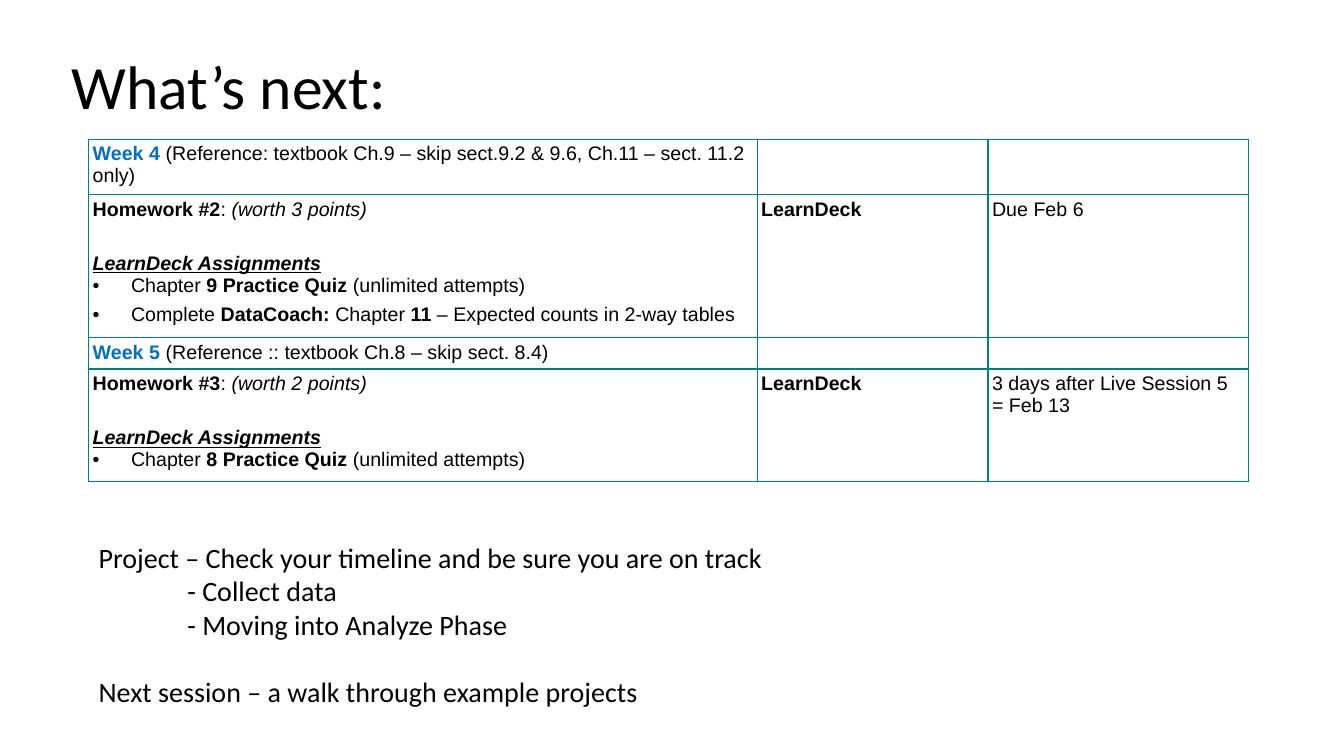
from lxml import etree
from pptx import Presentation
from pptx.dml.color import RGBColor
from pptx.enum.text import MSO_ANCHOR
from pptx.oxml.ns import qn
from pptx.util import Inches, Pt

THEME = {
    "heading_font": "Calibri", "table_font": "Arial",
    "title_size": 44, "body_size": 20, "table_size": 14,
    "text": "000000", "week": "0070C0", "border": "008080",
}

TITLE = "What’s next:"

STYLES = {
    "plain": {},
    "week": {"bold": True, "color": THEME["week"]},
    "bold": {"bold": True},
    "italic": {"italic": True},
    "heading": {"bold": True, "italic": True, "underline": True},
}


def homework(number, points, tasks):
    return [
        ("line", [(f"Homework #{number}", "bold"), (": ", "plain"),
                  (f"(worth {points} points)", "italic")]),
        ("section", [("LearnDeck Assignments", "heading")]),
        *[("bullet", task) for task in tasks],
    ]


def quiz(chapter):
    return [("Chapter ", "plain"), (f"{chapter} Practice Quiz", "bold"),
            (" (unlimited attempts)", "plain")]


def week(number, reference):
    return [("line", [(f"Week {number} ", "week"), (reference, "plain")])]


TUTOR_TASK = [("Complete ", "plain"), ("DataCoach:", "bold"), (" Chapter ", "plain"),
              ("11", "bold"), (" – Expected counts in 2-way tables", "plain")]
PLATFORM = [("line", [("LearnDeck", "bold")])]

SCHEDULE = [
    [week(4, "(Reference: textbook Ch.9 – skip sect.9.2 & 9.6, Ch.11 – sect. 11.2 only)"), [], []],
    [homework(2, 3, [quiz(9), TUTOR_TASK]), PLATFORM, [("line", [("Due Feb 6", "plain")])]],
    [week(5, "(Reference :: textbook Ch.8 – skip sect. 8.4)"), [], []],
    [homework(3, 2, [quiz(8)]), PLATFORM,
     [("line", [("3 days after Live Session 5 = Feb 13", "plain")])]],
]
COLUMN_WIDTHS = [6.63, 2.29, 2.58]
ROW_HEIGHTS = [0.54, 1.42, 0.3, 1.12]

REMINDERS = [
    ("Project – Check your timeline and be sure you are on track", 0, 0),
    ("- Collect data", 0.88, 0),
    ("- Moving into Analyze Phase", 0.88, 0),
    ("Next session – a walk through example projects", 0, 24),
]


def add_run(paragraph, text, font, size, bold=False, italic=False, underline=False,
            color=THEME["text"]):
    run = paragraph.add_run()
    run.text = text
    run.font.name = font
    run.font.size = Pt(size)
    run.font.bold = bold
    run.font.italic = italic
    run.font.underline = underline
    run.font.color.rgb = RGBColor.from_string(color)


def next_paragraph(frame, index):
    return frame.add_paragraph() if index else frame.paragraphs[0]


def add_text_frame(slide, left, top, width, height):
    frame = slide.shapes.add_textbox(
        Inches(left), Inches(top), Inches(width), Inches(height)).text_frame
    frame.word_wrap = True
    return frame


def add_bullet(paragraph):
    properties = paragraph._p.get_or_add_pPr()
    properties.set("marL", str(Inches(0.38)))
    properties.set("indent", str(-Inches(0.38)))
    paragraph.space_after = Pt(5)
    etree.SubElement(properties, qn("a:buFont"), typeface="Arial")
    etree.SubElement(properties, qn("a:buChar"), char="•")


def add_borders(cell):
    properties = cell._tc.get_or_add_tcPr()
    for position, side in enumerate(("lnL", "lnR", "lnT", "lnB")):
        line = etree.Element(qn(f"a:{side}"), w=str(Pt(1)))
        fill = etree.SubElement(line, qn("a:solidFill"))
        etree.SubElement(fill, qn("a:srgbClr"), val=THEME["border"])
        properties.insert(position, line)


def fill_cell(cell, entries):
    cell.margin_left = cell.margin_right = Inches(0.04)
    cell.margin_top = cell.margin_bottom = Inches(0.04)
    cell.fill.background()
    add_borders(cell)
    for index, (kind, runs) in enumerate(entries):
        paragraph = next_paragraph(cell.text_frame, index)
        if kind == "section":
            paragraph.space_before = Pt(23)
        elif kind == "bullet":
            add_bullet(paragraph)
        for text, style in runs:
            add_run(paragraph, text, THEME["table_font"], THEME["table_size"], **STYLES[style])
    if not entries:
        etree.SubElement(cell.text_frame.paragraphs[0]._p, qn("a:endParaRPr"),
                         sz=str(THEME["table_size"] * 100))


def add_title(slide):
    frame = add_text_frame(slide, 0.61, 0.16, 11.5, 1.45)
    frame.vertical_anchor = MSO_ANCHOR.MIDDLE
    frame.paragraphs[0].line_spacing = 0.9
    add_run(frame.paragraphs[0], TITLE, THEME["heading_font"], THEME["title_size"])


def add_schedule(slide):
    schedule = slide.shapes.add_table(
        len(ROW_HEIGHTS), len(COLUMN_WIDTHS), Inches(0.88), Inches(1.38),
        Inches(sum(COLUMN_WIDTHS)), Inches(sum(ROW_HEIGHTS))).table
    schedule.first_row = schedule.horz_banding = False
    for column, width in zip(schedule.columns, COLUMN_WIDTHS):
        column.width = Inches(width)
    for row, height, contents in zip(schedule.rows, ROW_HEIGHTS, SCHEDULE):
        row.height = Inches(height)
        for cell, entries in zip(row.cells, contents):
            fill_cell(cell, entries)


def add_reminders(slide):
    frame = add_text_frame(slide, 0.88, 5.31, 7.89, 1.78)
    for index, (text, indent, gap) in enumerate(REMINDERS):
        paragraph = next_paragraph(frame, index)
        paragraph._p.get_or_add_pPr().set("marL", str(Inches(indent)))
        paragraph.space_before = Pt(gap)
        add_run(paragraph, text, THEME["heading_font"], THEME["body_size"])


def main():
    presentation = Presentation()
    presentation.slide_width = Inches(13.33)
    presentation.slide_height = Inches(7.5)
    slide = presentation.slides.add_slide(presentation.slide_layouts[6])
    add_title(slide)
    add_reminders(slide)
    add_schedule(slide)
    presentation.save("out.pptx")


if __name__ == "__main__":
    main()
